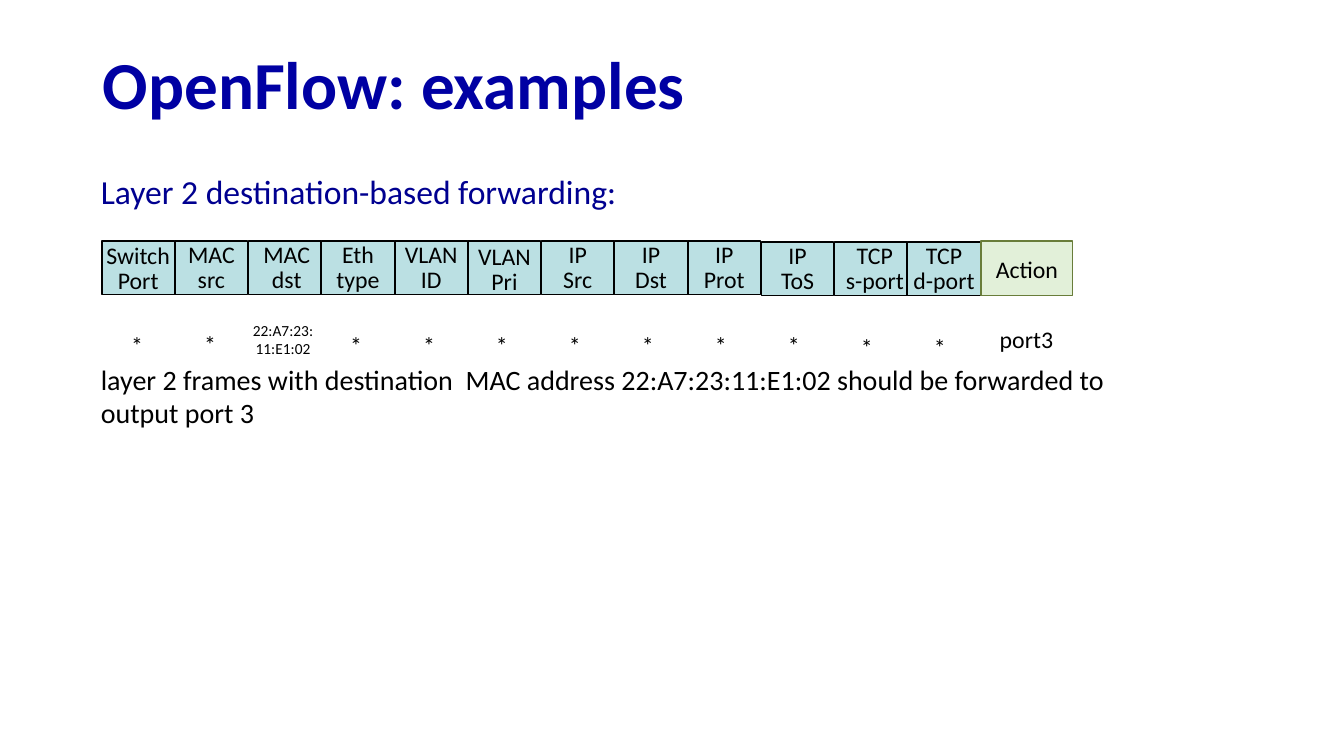
import dataclasses
import typing

import pptx
import pptx.dml.color
import pptx.enum.shapes
import pptx.enum.text
import pptx.presentation
import pptx.shapes.autoshape
import pptx.slide
import pptx.text.text
import pptx.util

Inches = pptx.util.Inches
Align = pptx.enum.text.PP_ALIGN


@dataclasses.dataclass(frozen=True)
class Theme:
    font: str = "Calibri"
    title: str = "0000A3"
    lead: str = "000090"
    ink: str = "000000"
    match: str = "BBE0E3"
    action: str = "E2F0D9"
    edge: str = "697D3A"
    title_size: int = 48
    lead_size: int = 24
    note_size: int = 20
    cell_size: int = 17
    small_size: int = 11


THEME = Theme()


class Box(typing.NamedTuple):
    left: float
    top: float
    width: float
    height: float


@dataclasses.dataclass(frozen=True)
class Field:
    label: str
    value: str = "*"
    top: float = 2.39
    push: float = 0
    drop: float = 0.02
    value_top: float = 3.25
    value_size: int = THEME.cell_size


FIELDS = [
    Field("Switch\nPort", drop=0.04),
    Field("MAC\nsrc", value_top=3.24),
    Field("MAC\ndst", "22:A7:23:\n11:E1:02", push=0.04, value_top=3.19,
          value_size=THEME.small_size),
    Field("Eth\ntype"),
    Field("VLAN\nID"),
    Field("VLAN\nPri", drop=0.06),
    Field("IP\nSrc"),
    Field("IP\nDst"),
    Field("IP\nProt"),
    Field("IP\nToS", top=2.4),
    Field("TCP\ns-port", top=2.4, push=0.08, value_top=3.27),
    Field("TCP\nd-port", top=2.4, value_top=3.27),
]
ACTION = Field("Action", "port3", drop=0.06, value_top=3.19)

CELL_LEFT = 1.01
CELL_WIDTH = 0.72
ACTION_LEFT = 9.73
CELL_STEP = (ACTION_LEFT - CELL_LEFT) / len(FIELDS)
VALUE_LEFT = 1
VALUE_STEP = (8.96 - VALUE_LEFT) / (len(FIELDS) - 1)


def get_color(code: str) -> pptx.dml.color.RGBColor:
    return pptx.dml.color.RGBColor.from_string(code)


def set_text(frame: pptx.text.text.TextFrame, text: str, size: int, color: str,
             align: Align = Align.LEFT, spacing: float = 1.0,
             bold: bool = False) -> None:
    frame.text = text
    frame.vertical_anchor = pptx.enum.text.MSO_ANCHOR.MIDDLE
    for para in frame.paragraphs:
        para.alignment = align
        para.line_spacing = spacing
        for run in para.runs:
            run.font.name = THEME.font
            run.font.size = pptx.util.Pt(size)
            run.font.bold = bold
            run.font.color.rgb = get_color(color)


def set_inset(frame: pptx.text.text.TextFrame, left: float = 0,
              top: float = 0) -> None:
    frame.margin_left = Inches(left)
    frame.margin_top = Inches(top)
    frame.margin_right = frame.margin_bottom = 0


def add_text(slide: pptx.slide.Slide, box: Box, text: str, size: int,
             color: str = THEME.ink, align: Align = Align.LEFT,
             wrap: bool = True) -> None:
    frame = slide.shapes.add_textbox(*map(Inches, box)).text_frame
    frame.word_wrap = wrap
    set_inset(frame)
    set_text(frame, text, size, color, align)


def add_cell(slide: pptx.slide.Slide, box: Box, field: Field, fill: str,
             edge: str) -> None:
    rect = slide.shapes.add_shape(
        pptx.enum.shapes.MSO_SHAPE.RECTANGLE, *map(Inches, box))
    rect.shadow.inherit = False
    rect.fill.solid()
    rect.fill.fore_color.rgb = get_color(fill)
    rect.line.color.rgb = get_color(edge)
    rect.line.width = pptx.util.Pt(1)
    set_inset(rect.text_frame, field.push, field.drop)
    set_text(rect.text_frame, field.label, THEME.cell_size, THEME.ink,
             Align.CENTER, 0.85)


def add_value(slide: pptx.slide.Slide, left: float, field: Field) -> None:
    add_text(slide, Box(left, field.value_top, CELL_WIDTH, 0.35), field.value,
             field.value_size, align=Align.CENTER)


def add_title(slide: pptx.slide.Slide, text: str) -> None:
    title = slide.shapes.title
    title.left, title.top = Inches(0.92), Inches(0.38)
    title.width, title.height = Inches(11.5), Inches(0.98)
    set_text(title.text_frame, text, THEME.title_size, THEME.title,
             spacing=0.9, bold=True)


def main() -> None:
    deck = pptx.Presentation()
    deck.slide_width, deck.slide_height = Inches(13.33), Inches(7.5)
    slide = deck.slides.add_slide(deck.slide_layouts.get_by_name("Title Only"))

    add_title(slide, "OpenFlow: examples")
    add_text(slide, Box(1, 1.7, 5.17, 0.4),
             "Layer 2 destination-based forwarding:",
             THEME.lead_size, THEME.lead, wrap=False)
    add_text(slide, Box(1, 3.59, 10.22, 0.67),
             "layer 2 frames with destination  MAC address 22:A7:23:11:E1:02 "
             "should be forwarded to output port 3", THEME.note_size)

    for index, field in enumerate(FIELDS):
        left = CELL_LEFT + index * CELL_STEP
        add_cell(slide, Box(left, field.top, CELL_WIDTH, 0.53), field,
                 THEME.match, THEME.ink)
        add_value(slide, VALUE_LEFT + index * VALUE_STEP, field)
    add_cell(slide, Box(ACTION_LEFT, ACTION.top, 0.91, 0.54), ACTION,
             THEME.action, THEME.edge)
    add_value(slide, 9.82, ACTION)

    deck.save("out.pptx")


if __name__ == "__main__":
    main()
